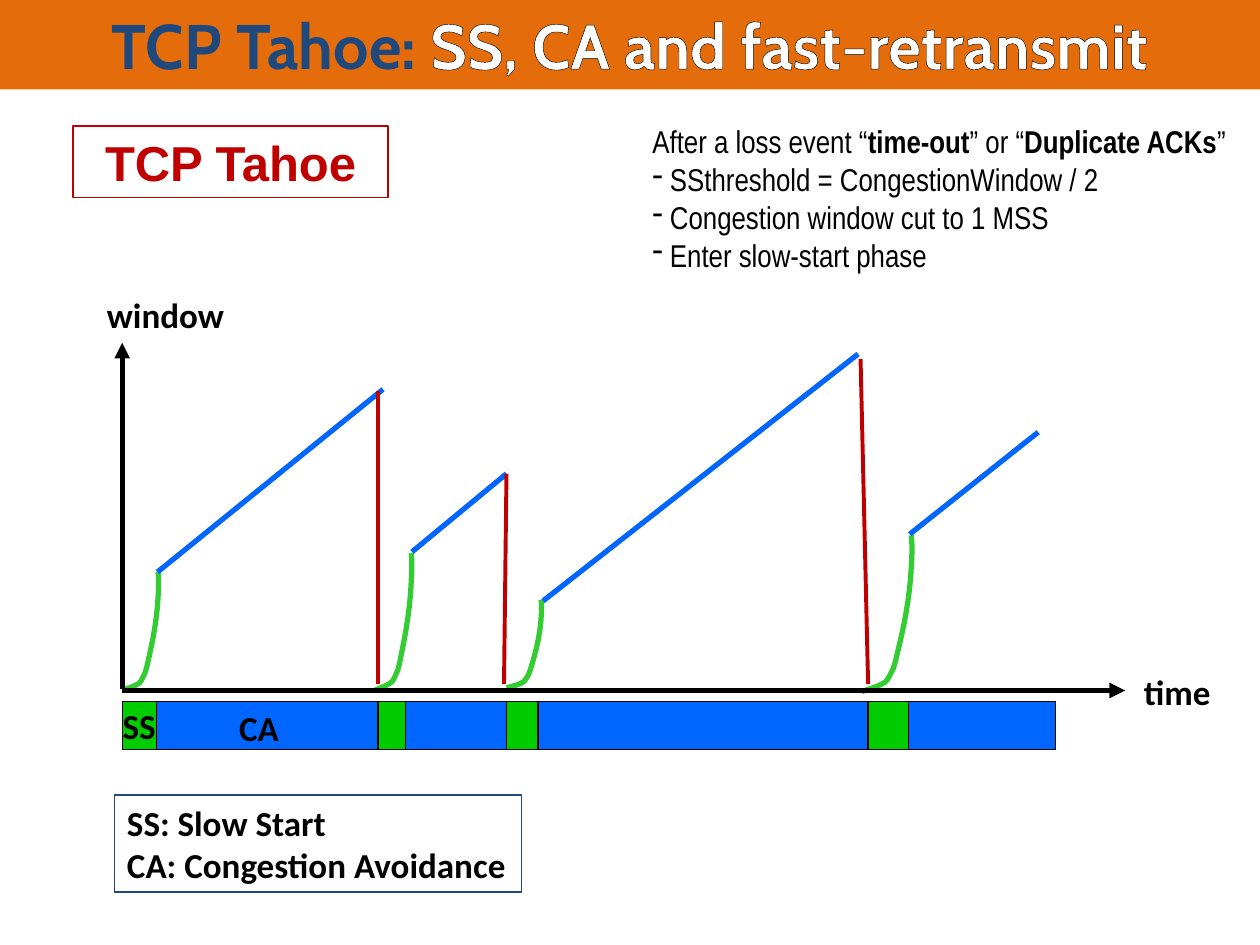
from itertools import pairwise

from lxml import etree
from pptx import Presentation
from pptx.dml.color import RGBColor
from pptx.enum.shapes import MSO_CONNECTOR as CONN, MSO_SHAPE as SHAPE
from pptx.enum.text import MSO_ANCHOR as ANCHOR, MSO_AUTO_SIZE as AUTO, PP_ALIGN as ALIGN
from pptx.oxml.ns import qn
from pptx.util import Inches, Pt

BLACK, WHITE, RED, NAVY, ORANGE = "000000", "FFFFFF", "C00000", "1F497D", "E46C0A"
GREEN, BLUE, CURVE = "00CC00", "0066FF", "33CC33"

# Slow-start curve in a unit box: a start, then three points per Bezier piece
SLOW_START = [(0, 1), (.15, .98), (.3, .97), (.4, .95), (.5, .94), (.53, .91), (.58, .88),
              (.62, .86), (.63, .85), (.68, .79), (.73, .72), (.83, .59), (.88, .49),
              (.93, .4), (.97, .29), (.98, .21), (1, .13), (1, .03), (.98, 0)]


def rgb(color):
    return RGBColor.from_string(color)


class Deck:
    font, size = "Calibri", 20

    def __init__(self, width, height):
        self.prs = Presentation()
        self.prs.slide_width, self.prs.slide_height = Inches(width), Inches(height)
        self.s = self.prs.slides.add_slide(self.prs.slide_layouts[6])

    def stroke(self, line, color, width):
        line.color.rgb = rgb(color)
        line.width = Pt(width)

    def rect(self, box, fill=None, line=None):
        sp = self.s.shapes.add_shape(SHAPE.RECTANGLE, *map(Inches, box))
        sp.shadow.inherit = False
        if fill:
            sp.fill.solid()
            sp.fill.fore_color.rgb = rgb(fill)
        else:
            sp.fill.background()
        if line:
            self.stroke(sp.line, line, 0.75)
        else:
            sp.line.fill.background()
        return sp

    def line(self, start, end, color, width=3, arrow=False):
        c = self.s.shapes.add_connector(CONN.STRAIGHT, *map(Inches, start + end))
        self.stroke(c.line, color, width)
        if arrow:
            etree.SubElement(c.line._get_or_add_ln(), qn("a:tailEnd"), type="triangle")
        etree.SubElement(c._element.spPr, qn("a:effectLst"))

    def curve(self, box, color):
        x, y, w, h = box
        pts = [(Inches(x + u * w), Inches(y + v * h)) for u, v in SLOW_START]
        builder = self.s.shapes.build_freeform(*pts[0])
        builder.add_line_segments(pts[1:], close=False)
        sp = builder.convert_to_shape()
        sp.shadow.inherit = False
        sp.fill.background()
        self.stroke(sp.line, color, 3)
        # Join every three straight pieces into one cubic piece
        path = next(sp._element.iter(qn("a:path")))
        steps = path.findall(qn("a:lnTo"))
        for i in range(0, len(steps), 3):
            cubic = etree.SubElement(path, qn("a:cubicBezTo"))
            for step in steps[i:i + 3]:
                cubic.append(step[0])
                path.remove(step)

    def label(self, box, paragraphs, **style):
        sp = self.s.shapes.add_textbox(*map(Inches, box))
        self.text(sp, paragraphs, **style)

    def text(self, sp, paragraphs, font=None, size=None, align=ALIGN.LEFT,
             anchor=ANCHOR.TOP, wrap=False, grow=True, bullets_from=None):
        """Each paragraph is a list of runs: (text, bold, colour, outline)."""
        tf = sp.text_frame
        tf.word_wrap = wrap
        tf.auto_size = AUTO.SHAPE_TO_FIT_TEXT if grow else AUTO.NONE
        tf.vertical_anchor = anchor
        for i, runs in enumerate(paragraphs):
            p = tf.paragraphs[0] if i == 0 else tf.add_paragraph()
            p.alignment = align
            if bullets_from is not None and i >= bullets_from:
                etree.SubElement(p._p.get_or_add_pPr(), qn("a:buChar"), char="-")
            for words, bold, color, outline in runs:
                r = p.add_run()
                r.text = words
                r.font.name, r.font.size = font or self.font, Pt(size or self.size)
                r.font.bold = bold
                r.font.color.rgb = rgb(color)
                if outline:
                    ln = etree.Element(qn("a:ln"), w=str(Pt(0.75)))
                    fill = etree.SubElement(ln, qn("a:solidFill"))
                    etree.SubElement(fill, qn("a:srgbClr"), val=outline)
                    r.font._element.insert(0, ln)


def run(words, bold=True, color=BLACK, outline=None):
    return words, bold, color, outline


def main():
    d = Deck(10, 7.5)

    # Phase strip: slow start and congestion avoidance take turns
    edges = [0.97, 1.24, 3, 3.22, 4.02, 4.27, 6.89, 7.21, 8.38]
    bars = [d.rect((a, 5.57, b - a, 0.38), (GREEN, BLUE)[i % 2], BLACK)
            for i, (a, b) in enumerate(pairwise(edges))]
    d.text(bars[0], [[run("SS")]], align=ALIGN.CENTER, anchor=ANCHOR.MIDDLE, grow=False)
    d.label((1.8, 5.56, 0.52, 0.44), [[run("CA")]])

    # Window growth: a slow-start curve, then a linear climb
    cycles = [((0.97, 4.54, 0.29, 0.94), (1.25, 4.54), (3.04, 3.09)),
              ((2.97, 4.39, 0.3, 1.09), (3.27, 4.38), (4.02, 3.76)),
              ((4.02, 4.76, 0.28, 0.7), (4.31, 4.77), (6.81, 2.81)),
              ((6.84, 4.25, 0.4, 1.24), (7.22, 4.24), (8.24, 3.43))]
    for box, start, end in cycles:
        d.curve(box, CURVE)
        d.line(start, end, BLUE)

    # Axes
    d.label((8.98, 5.27, 0.74, 0.44), [[run("time")]])
    d.label((0.75, 2.28, 1.14, 0.44), [[run("window")]])
    d.line((0.97, 5.47), (0.97, 2.72), BLACK, arrow=True)
    d.line((0.97, 5.48), (8.93, 5.48), BLACK, arrow=True)

    # Legend
    d.text(d.rect((0.91, 6.31, 3.23, 0.77), line=NAVY),
           [[run("SS: Slow Start")], [run("CA: Congestion Avoidance")]])

    # Headings
    d.text(d.rect((0.58, 1, 2.5, 0.57), line=RED),
           [[run("TCP Tahoe", color=RED, outline=BLACK)]],
           font="Arial", size=28, align=ALIGN.CENTER, wrap=True)
    d.text(d.rect((0, 0, 10, 0.71), ORANGE),
           [[run("TCP Tahoe: ", color=NAVY, outline=WHITE),
             run("SS, CA and fast-retransmit", color=WHITE, outline=BLACK)]],
           font="Cabin", size=36, align=ALIGN.CENTER, wrap=True)

    # Losses: the window falls back
    for start, end in [((3, 3.1), (3, 5.43)), ((4.02, 3.76), (4, 5.43)),
                       ((6.83, 2.85), (6.89, 5.43))]:
        d.line(start, end, RED, 2.25)

    # Reaction to a loss
    d.label((5.08, 0.92, 4.8, 1.31),
            [[run("After a loss event “", False), run("time-out"), run("” or “", False),
              run("Duplicate ACKs"), run("”", False)],
             [run(" SSthreshold = CongestionWindow / 2", False)],
             [run(" Congestion window cut to 1 MSS", False)],
             [run(" Enter slow-start phase", False)]],
            font="Arial Narrow", size=18, bullets_from=1)

    d.prs.save("out.pptx")


if __name__ == "__main__":
    main()
